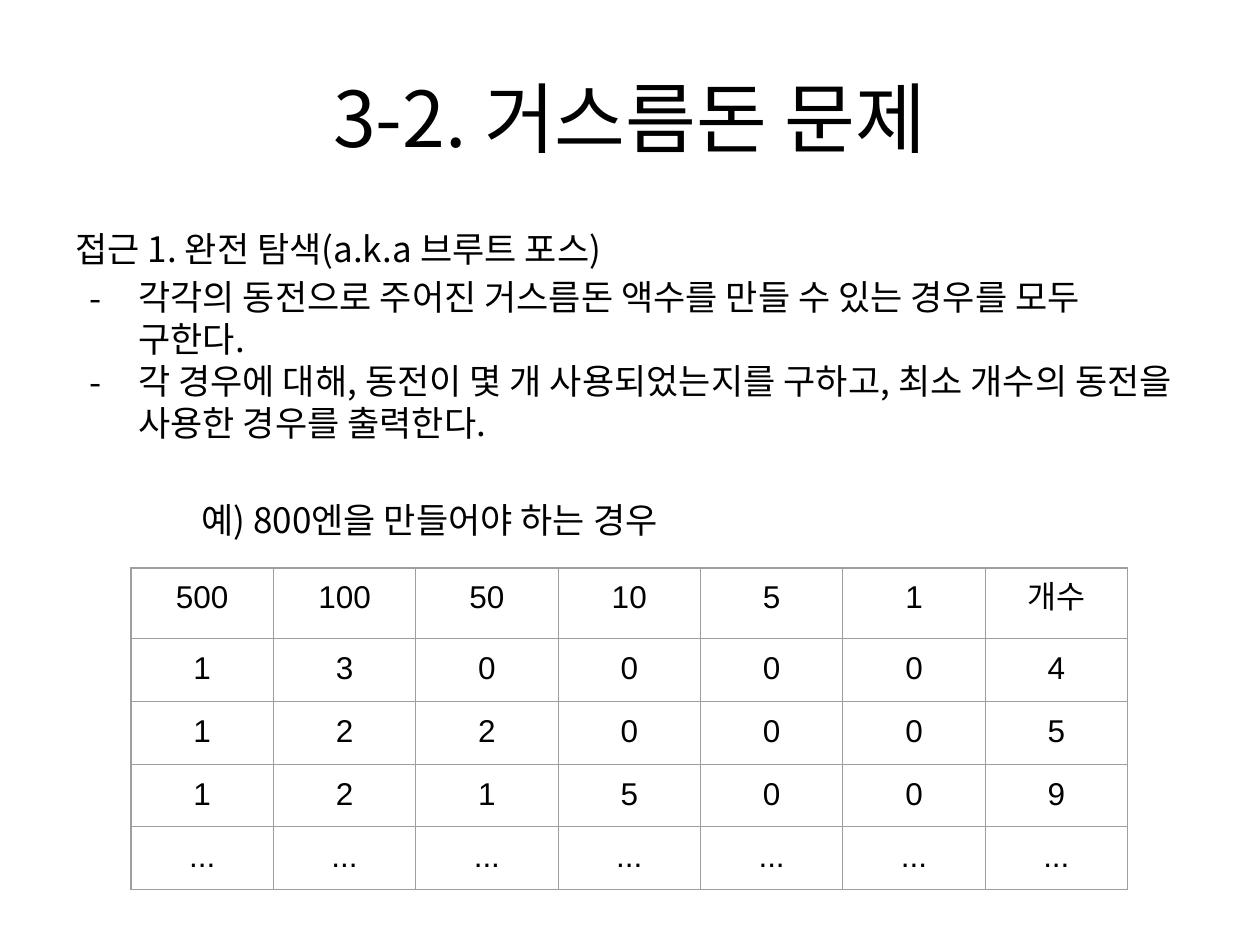
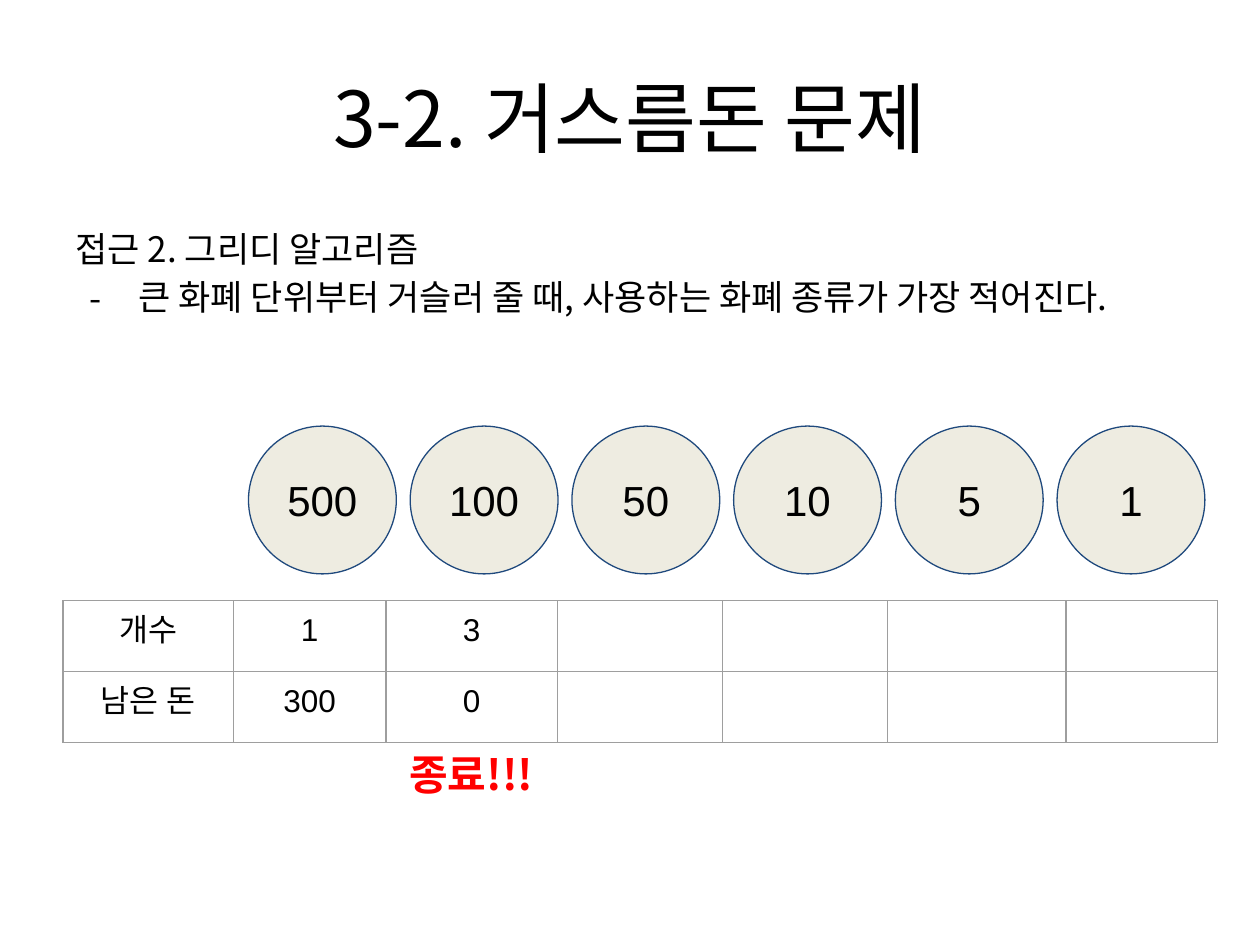
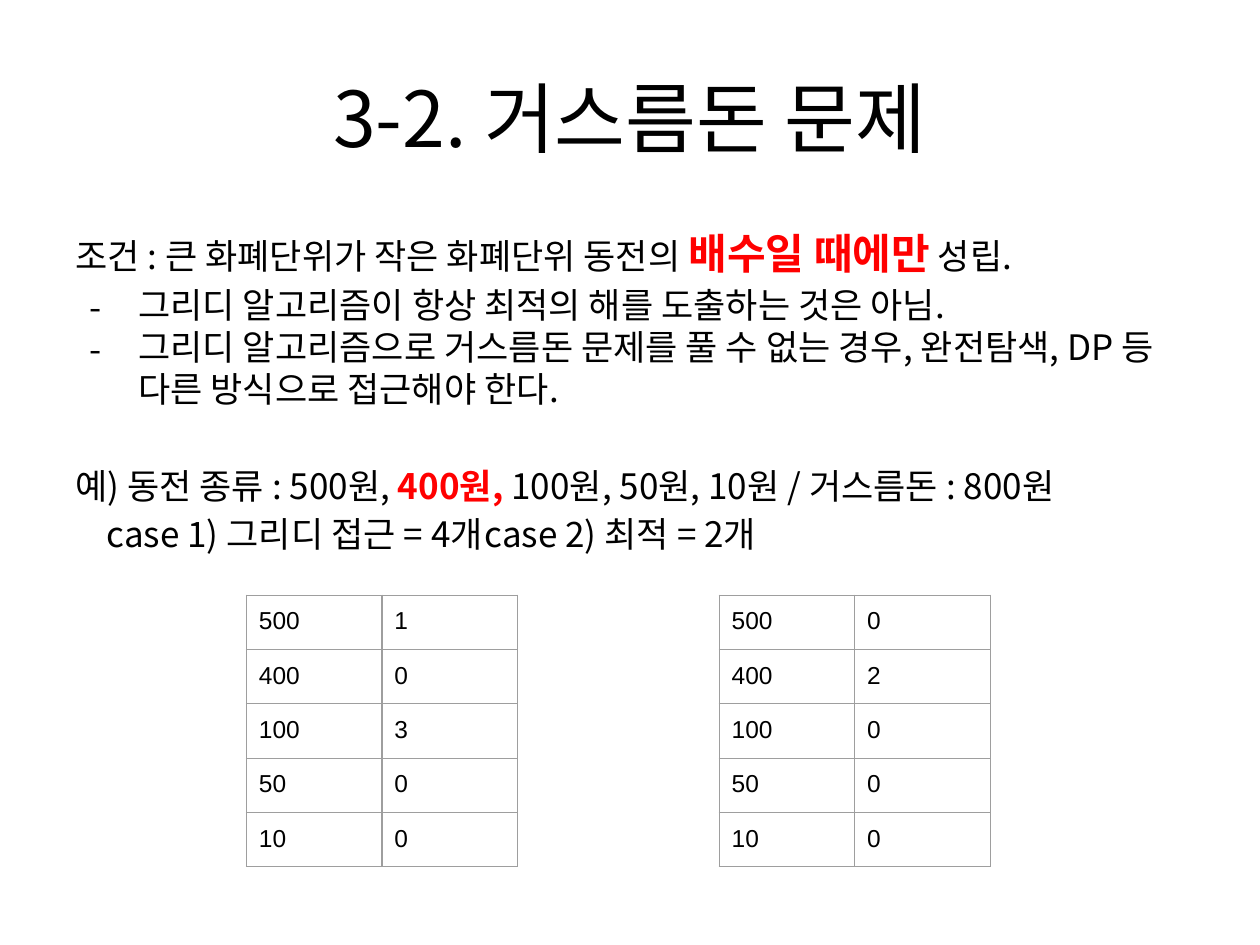
from lxml.etree import SubElement
from pptx import Presentation
from pptx.dml.color import RGBColor
from pptx.enum.shapes import MSO_SHAPE as Shape
from pptx.enum.text import MSO_ANCHOR as Anchor, PP_ALIGN as Align
from pptx.oxml.ns import qn
from pptx.util import Cm, Pt

BLACK = RGBColor(0x00, 0x00, 0x00)
RED = RGBColor(0xFF, 0x00, 0x00)
WHITE = RGBColor(0xFF, 0xFF, 0xFF)
COIN_FILL = RGBColor(0xEE, 0xEC, 0xE1)
COIN_LINE = RGBColor(0x1F, 0x49, 0x7D)
GRID = RGBColor(0x9E, 0x9E, 0x9E)
KOREAN = "Noto Sans CJK KR"
LATIN = "Arial"
BODY_SIZE = 20
BIG_SIZE = 24
PARAGRAPH_GAP = 3.6
SECTION_GAP = 31.2


class Deck:
    """Holds the shared style and the current slide."""

    def __init__(self):
        self.presentation = Presentation()
        self.presentation.slide_width = Cm(25.4)
        self.presentation.slide_height = Cm(19.05)
        self.slide = None
        self.body = None

    def start(self, title):
        """Add a slide with its title and an empty body."""
        self.slide = self.presentation.slides.add_slide(self.presentation.slide_layouts[6])
        background = self.slide.background.fill
        background.solid()
        background.fore_color.rgb = WHITE
        heading = self.box(1.27, 0.76, 22.86, 3.18, 0.13)
        heading.vertical_anchor = Anchor.MIDDLE
        heading.paragraphs[0].alignment = Align.CENTER
        self.run(heading.paragraphs[0], title, 44)
        self.body = self.box(1.27, 4.45, 22.86, 12.57, 0.13)

    def box(self, left, top, width, height, inset):
        """Add a wrapping text box and return its frame."""
        frame = self.slide.shapes.add_textbox(Cm(left), Cm(top), Cm(width), Cm(height)).text_frame
        frame.word_wrap = True
        self.margins(frame, inset)
        return frame

    def margins(self, holder, vertical=0.25):
        """Set the inner margins of a frame or cell."""
        holder.margin_left = holder.margin_right = Cm(0.25)
        holder.margin_top = holder.margin_bottom = Cm(vertical)

    def run(self, paragraph, text, size, font=KOREAN, color=BLACK, bold=False):
        """Add one styled run."""
        run = paragraph.add_run()
        run.text = text
        run.font.size = Pt(size)
        run.font.name = font
        run.font.bold = bold
        run.font.color.rgb = color
        SubElement(run._r.get_or_add_rPr(), qn("a:ea"), typeface=font)

    def line(self, *parts, gap=PARAGRAPH_GAP, indent=0, hanging=0, height=BODY_SIZE):
        """Add a body paragraph of plain strings and (text, size) emphasis."""
        paragraph = self.body.paragraphs[0]
        if paragraph.runs:
            paragraph = self.body.add_paragraph()
        paragraph.space_before = Pt(gap)
        paragraph.line_spacing = Pt(height * 1.2)
        properties = paragraph._p.get_or_add_pPr()
        properties.set("marL", str(Cm(indent)))
        properties.set("indent", str(Cm(-hanging)))
        for part in parts:
            if isinstance(part, str):
                self.run(paragraph, part, BODY_SIZE)
            else:
                self.run(paragraph, *part, color=RED, bold=True)
        return properties

    def bullet(self, text, gap=PARAGRAPH_GAP):
        """Add a dashed body paragraph."""
        properties = self.line(text, gap=gap, indent=1.27, hanging=0.99)
        SubElement(SubElement(properties, qn("a:buClr")), qn("a:srgbClr"), val=str(BLACK))
        SubElement(properties, qn("a:buFont"), typeface=KOREAN)
        SubElement(properties, qn("a:buChar"), char="-")

    def columns(self, first, second, indent, stop):
        """Add a body paragraph whose second part starts at a tab stop."""
        properties = self.line(f"{first}\t{second}", indent=indent)
        tabs = SubElement(properties, qn("a:tabLst"))
        SubElement(tabs, qn("a:tab"), pos=str(Cm(stop)), algn="l")

    def coin(self, value, left, top, size):
        """Add a round coin with its value."""
        coin = self.slide.shapes.add_shape(Shape.OVAL, Cm(left), Cm(top), Cm(size), Cm(size))
        coin.shadow.inherit = False
        coin.fill.solid()
        coin.fill.fore_color.rgb = COIN_FILL
        coin.line.color.rgb = COIN_LINE
        coin.line.width = Pt(0.75)
        frame = coin.text_frame
        self.margins(frame)
        frame.vertical_anchor = Anchor.MIDDLE
        frame.paragraphs[0].alignment = Align.CENTER
        self.run(frame.paragraphs[0], value, BIG_SIZE, LATIN)

    def table(self, left, top, widths, heights, rows, size=18, align=Align.CENTER):
        """Add a table with thin grey borders and no fill."""
        table = self.slide.shapes.add_table(
            len(rows), len(widths), Cm(left), Cm(top), Cm(sum(widths)), Cm(sum(heights))
        ).table
        table.first_row = table.horz_banding = False
        for column, width in zip(table.columns, widths):
            column.width = Cm(width)
        for row, height, values in zip(table.rows, heights, rows):
            row.height = Cm(height)
            for cell, value in zip(row.cells, values):
                self.margins(cell)
                self.borders(cell)
                cell.fill.background()
                if value:
                    paragraph = cell.text_frame.paragraphs[0]
                    paragraph.alignment = align
                    self.run(paragraph, value, size, LATIN)

    def borders(self, cell):
        """Draw the four borders of a cell."""
        properties = cell._tc.get_or_add_tcPr()
        for side in ("lnL", "lnR", "lnT", "lnB"):
            border = SubElement(properties, qn(f"a:{side}"), w=str(Pt(0.75)))
            SubElement(SubElement(border, qn("a:solidFill")), qn("a:srgbClr"), val=str(GRID))


def main():
    """Build the three slides on the change-making problem."""
    deck = Deck()
    title = "3-2. 거스름돈 문제"
    coins = ["500", "100", "50", "10", "5", "1"]

    deck.start(title)
    deck.line("접근 1. 완전 탐색(a.k.a 브루트 포스)")
    deck.bullet("각각의 동전으로 주어진 거스름돈 액수를 만들 수 있는 경우를 모두 구한다.")
    deck.bullet("각 경우에 대해, 동전이 몇 개 사용되었는지를 구하고, "
                "최소 개수의 동전을 사용한 경우를 출력한다.", gap=0)
    deck.line("예) 800엔을 만들어야 하는 경우", gap=SECTION_GAP, indent=2.54)
    combinations = [coins + ["개수"], "1300004", "1220005", "1215009", ["..."] * 7]
    deck.table(2.64, 11.45, [2.87] * 7, [1.43] + [1.22] * 4, combinations)

    deck.start(title)
    deck.line("접근 2. 그리디 알고리즘")
    deck.bullet("큰 화폐 단위부터 거슬러 줄 때, 사용하는 화폐 종류가 가장 적어진다.")
    for place, value in enumerate(coins):
        deck.coin(value, 5.01 + 3.26 * place, 8.59, 2.98)
    greedy_steps = [["개수", "1", "3"] + [""] * 4, ["남은 돈", "300", "0"] + [""] * 4]
    deck.table(1.27, 12.11, [3.43, 3.08, 3.45, 3.33, 3.33, 3.6, 3.06], [1.43] * 2, greedy_steps)
    finish = deck.box(8, 14.83, 3.25, 1.24, 0.25).paragraphs[0]
    finish.line_spacing = Pt(BIG_SIZE * 1.2)
    deck.run(finish, "종료!!!", BIG_SIZE, color=RED, bold=True)

    deck.start(title)
    deck.line("조건 : 큰 화폐단위가 작은 화폐단위 동전의 ", ("배수일 때에만", BIG_SIZE), " 성립.",
              height=BIG_SIZE)
    deck.bullet("그리디 알고리즘이 항상 최적의 해를 도출하는 것은 아님.")
    deck.bullet("그리디 알고리즘으로 거스름돈 문제를 풀 수 없는 경우, 완전탐색, DP 등 "
                "다른 방식으로 접근해야 한다.", gap=0)
    deck.line("예) 동전 종류 : 500원, ", ("400원,", BODY_SIZE),
              " 100원, 50원, 10원 / 거스름돈 : 800원", gap=SECTION_GAP)
    deck.columns("case 1) 그리디 접근 = 4개", "case 2) 최적 = 2개", 0.63, 11.14)
    values = ["500", "400", "100", "50", "10"]
    for left, counts in ((4.97, "10300"), (14.5, "02000")):
        deck.table(left, 12, [2.73] * 2, [1.09] * 5, list(zip(values, counts)),
                   size=14, align=Align.LEFT)

    deck.presentation.save("out.pptx")


if __name__ == "__main__":
    main()
